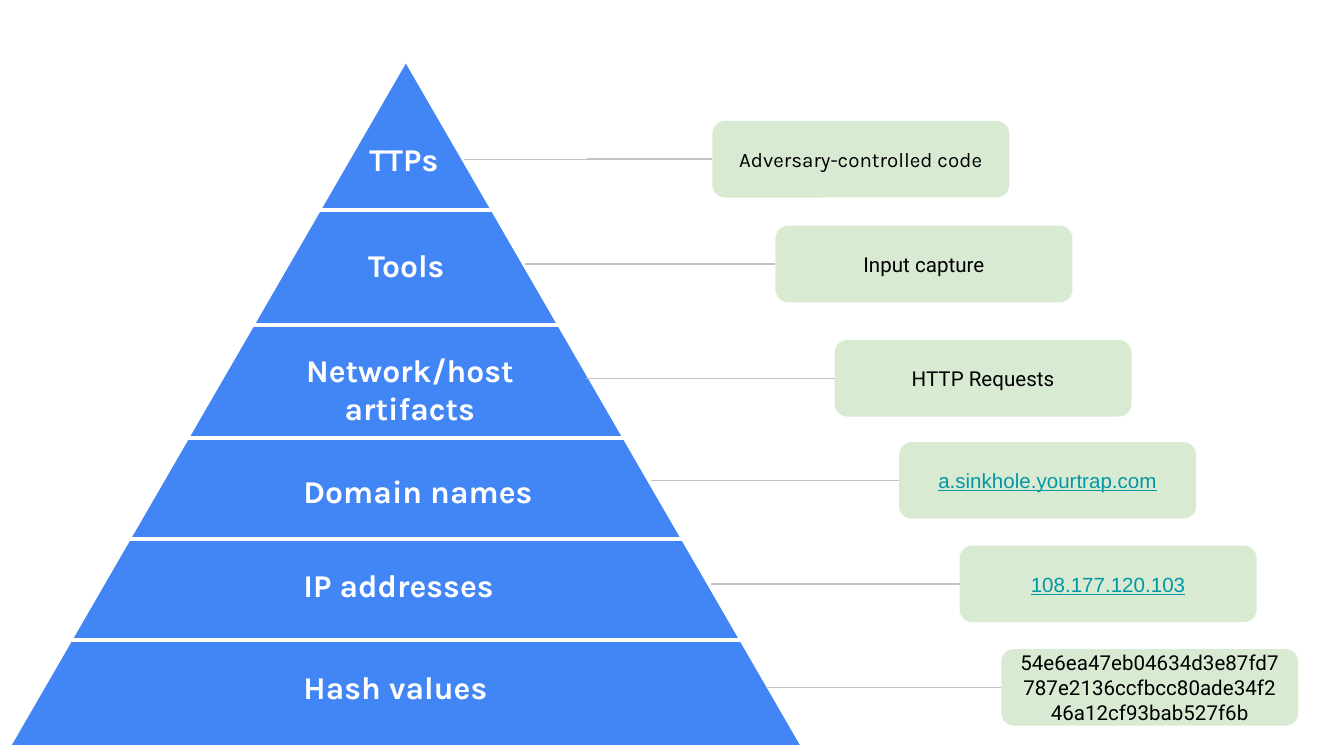
from lxml import etree
from pptx import Presentation
from pptx.dml.color import RGBColor
from pptx.enum import shapes, text
from pptx.oxml.ns import qn
from pptx.util import Inches, Pt

COLORS = {"pyramid": "4285F4", "white": "FFFFFF", "callout": "D9EAD3",
          "connector": "C2C2C2", "ink": "000000", "address": "0097A7"}

# Label, label box (left, top, width, height), centred
LEVELS = [
    ("TTPs", (2.65, 0.94, 0.88, 0.49), False),
    ("Tools", (2.64, 1.73, 0.88, 0.49), False),
    ("Network/host artifacts", (1.96, 2.51, 2.18, 0.77), True),
    ("Domain names", (2.16, 3.41, 2.24, 0.49), False),
    ("IP addresses", (2.16, 4.11, 2.24, 0.49), False),
    ("Hash values", (2.16, 4.87, 2.24, 0.49), False),
]
# Example, font, colour, connector start, callout left, callout top
EXAMPLES = [
    ("Adversary-controlled code", "Karla", "ink", 3.45, 5.3, 0.9),
    ("Input capture", "Roboto", "ink", 3.91, 5.77, 1.68),
    ("HTTP Requests", "Roboto", "ink", 4.36, 6.21, 2.53),
    ("a.sinkhole.yourtrap.com", "Arial", "address", 4.84, 6.69, 3.29),
    ("108.177.120.103", "Arial", "address", 5.29, 7.14, 4.06),
    ("54e6ea47eb04634d3e87fd7787e2136ccfbcc80ade34f246a12cf93bab527f6b",
     "Roboto", "ink", 5.7, 7.45, 4.83),
]
DIVIDERS = [1.56, 2.42, 3.26, 4.01, 4.76]
PYRAMID = (0.06, 0.44, 5.92, 5.12)
CALLOUT_W, CALLOUT_H = 2.21, 0.57


def rgb(name):
    return RGBColor.from_string(COLORS[name])


def box(values):
    return [Inches(v) for v in values]


def set_text(sp, content, font, size, color, centred, bold=False):
    tf = sp.text_frame
    tf.word_wrap = True
    tf.margin_left = tf.margin_right = tf.margin_top = tf.margin_bottom = Inches(0.1)
    tf.text = content
    p = tf.paragraphs[0]
    p.alignment = text.PP_ALIGN.CENTER if centred else text.PP_ALIGN.LEFT
    f = p.runs[0].font
    f.name, f.size, f.bold = font, Pt(size), bold
    f.color.rgb = rgb(color)
    return tf


def add_line(parent, kind, x1, y1, x2, y2, color, width):
    line = parent.add_connector(kind, *box((x1, y1, x2, y2)))
    line.line.color.rgb = rgb(color)
    line.line.width = Pt(width)
    etree.SubElement(line._element.spPr, qn("a:effectLst"))
    return line


def add_pyramid(s):
    left, top, width, height = PYRAMID
    group = s.shapes.add_group_shape().shapes
    sp = group.add_shape(shapes.MSO_SHAPE.ISOSCELES_TRIANGLE, *box(PYRAMID))
    sp.shadow.inherit = False
    sp.fill.solid()
    sp.fill.fore_color.rgb = rgb("pyramid")
    sp.line.color.rgb = rgb("white")
    sp.line.width = Pt(2.25)
    middle = left + width / 2
    for y in DIVIDERS:
        half = (y - top) / height * width / 2 - 0.01
        add_line(group, shapes.MSO_CONNECTOR.STRAIGHT,
                 middle - half, y, middle + half, y, "white", 2.25)


def add_level_label(s, label, place, centred):
    sp = s.shapes.add_textbox(*box(place))
    tf = set_text(sp, label, "Karla", 17, "white", centred, bold=True)
    tf.auto_size = text.MSO_AUTO_SIZE.SHAPE_TO_FIT_TEXT


def add_example(s, example, font, color, start, left, top):
    sp = s.shapes.add_shape(shapes.MSO_SHAPE.ROUNDED_RECTANGLE,
                            *box((left, top, CALLOUT_W, CALLOUT_H)))
    sp.shadow.inherit = False
    sp.fill.solid()
    sp.fill.fore_color.rgb = rgb("callout")
    sp.line.fill.background()
    tf = set_text(sp, example, font, 11, color, True)
    tf.vertical_anchor = text.MSO_ANCHOR.MIDDLE
    if color == "address":
        tf.paragraphs[0].runs[0].font.underline = True
    y = top + CALLOUT_H / 2
    line = add_line(s.shapes, shapes.MSO_CONNECTOR.ELBOW,
                    start, y, left, y, "connector", 0.75)
    line.end_connect(sp, 1)


def main():
    prs = Presentation()
    prs.slide_width = Inches(10)
    prs.slide_height = prs.slide_width * 9 // 16
    s = prs.slides.add_slide(prs.slide_layouts[6])
    add_pyramid(s)
    for level in LEVELS:
        add_level_label(s, *level)
    for example in EXAMPLES:
        add_example(s, *example)
    prs.save("out.pptx")


if __name__ == "__main__":
    main()
